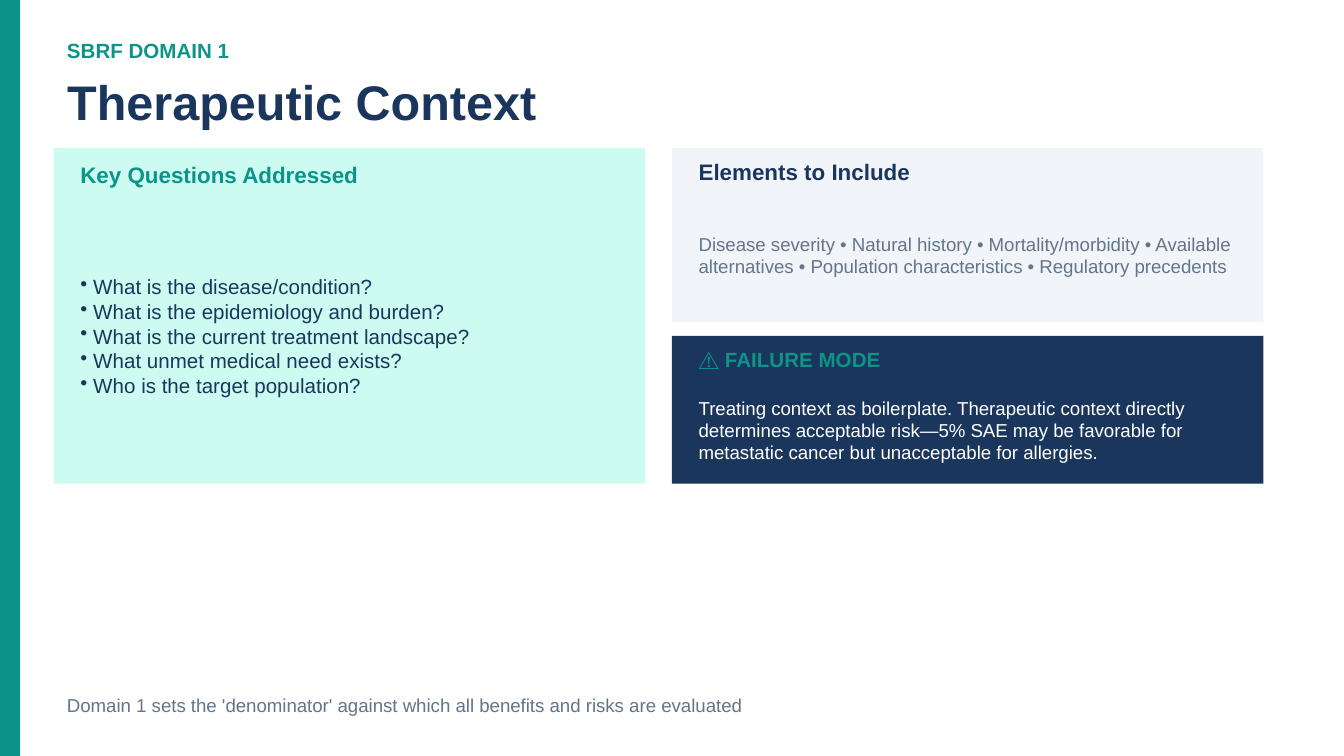
from lxml.etree import SubElement
from pptx import Presentation
from pptx.dml.color import RGBColor
from pptx.enum.shapes import MSO_SHAPE
from pptx.enum.text import MSO_ANCHOR, PP_ALIGN
from pptx.oxml.ns import qn
from pptx.util import Pt

TEAL = RGBColor(0x0D, 0x94, 0x88)
MINT = RGBColor(0xCC, 0xFB, 0xF1)
NAVY = RGBColor(0x1A, 0x36, 0x5D)
MIST = RGBColor(0xF1, 0xF5, 0xF9)
SLATE = RGBColor(0x64, 0x74, 0x8B)
WHITE = RGBColor(0xFF, 0xFF, 0xFF)

EYEBROW = "SBRF DOMAIN 1"
TITLE = "Therapeutic Context"
TAKEAWAY = "Domain 1 sets the 'denominator' against which all benefits and risks are evaluated"

COLUMNS = [
    [
        dict(
            heading="Key Questions Addressed",
            body=[
                "What is the disease/condition?",
                "What is the epidemiology and burden?",
                "What is the current treatment landscape?",
                "What unmet medical need exists?",
                "Who is the target population?",
            ],
            fill=MINT, height=180, heading_height=21.6, foot=7.2,
            heading_format=dict(size=12, color=TEAL),
            body_format=dict(size=11, color=NAVY, bullets=True),
        ),
    ],
    [
        dict(
            heading="Elements to Include",
            body=[
                "Disease severity • Natural history • Mortality/morbidity • Available "
                "alternatives • Population characteristics • Regulatory precedents"
            ],
            fill=MIST, height=93.6, heading_height=18, foot=3.6,
            heading_format=dict(size=12, color=NAVY),
            body_format=dict(size=10, color=SLATE),
        ),
        dict(
            heading="⚠ FAILURE MODE",
            body=[
                "Treating context as boilerplate. Therapeutic context directly "
                "determines acceptable risk—5% SAE may be favorable for "
                "metastatic cancer but unacceptable for allergies."
            ],
            fill=NAVY, height=79.2, heading_height=18, foot=3.6,
            heading_format=dict(size=11, color=TEAL),
            body_format=dict(size=10, color=WHITE),
        ),
    ],
]

SLIDE_WIDTH, SLIDE_HEIGHT = 720, 405
LEFT, TOP, PANEL_WIDTH = 28.8, 79.2, 316.8
COLUMN_GAP, ROW_GAP = 14.4, 7.2
INSET, HEAD_INSET, BODY_GAP = 7.2, 3.6, 3.6
BULLET_INDENT = 6.9


def add_text(slide, lines, box, size, color, bold=False, bullets=False, holder=None):
    """Write lines into a new text box, or into the given placeholder."""
    left, top, width, height = map(Pt, box)
    if holder is None:
        holder = slide.shapes.add_textbox(left, top, width, height)
    holder.left, holder.top, holder.width, holder.height = left, top, width, height
    frame = holder.text_frame
    frame.word_wrap = True
    frame.vertical_anchor = MSO_ANCHOR.MIDDLE
    frame.text = "\n".join(lines)
    for paragraph in frame.paragraphs:
        paragraph.alignment = PP_ALIGN.LEFT
        font = paragraph.runs[0].font
        font.name, font.size, font.bold = "Arial", Pt(size), bold
        font.color.rgb = color
        if bullets:
            properties = paragraph._p.get_or_add_pPr()
            properties.set("marL", str(Pt(BULLET_INDENT)))
            properties.set("indent", str(-Pt(BULLET_INDENT)))
            SubElement(properties, qn("a:buChar"), char="•")


def add_block(slide, box, fill):
    """Draw a plain filled rectangle."""
    block = slide.shapes.add_shape(MSO_SHAPE.RECTANGLE, *map(Pt, box))
    block.shadow.inherit = False
    block.fill.solid()
    block.fill.fore_color.rgb = fill
    block.line.fill.background()


def add_panel(slide, panel, left, top):
    """Draw one panel with its heading and body."""
    add_block(slide, (left, top, PANEL_WIDTH, panel["height"]), panel["fill"])
    text_left, text_width = left + INSET, PANEL_WIDTH - 2 * INSET
    heading_top = top + HEAD_INSET
    body_top = heading_top + panel["heading_height"] + BODY_GAP
    body_height = top + panel["height"] - panel["foot"] - body_top
    add_text(slide, [panel["heading"]],
             (text_left, heading_top, text_width, panel["heading_height"]),
             bold=True, **panel["heading_format"])
    add_text(slide, panel["body"], (text_left, body_top, text_width, body_height),
             **panel["body_format"])


def main():
    """Build and save the slide."""
    deck = Presentation()
    deck.slide_width, deck.slide_height = Pt(SLIDE_WIDTH), Pt(SLIDE_HEIGHT)
    slide = deck.slides.add_slide(deck.slide_layouts[5])

    add_block(slide, (0, 0, 10.8, SLIDE_HEIGHT), TEAL)
    add_text(slide, [EYEBROW], (LEFT, 18, 288, 18), size=11, color=TEAL, bold=True)
    add_text(slide, [TITLE], (LEFT, 36, 648, 36), size=26, color=NAVY, bold=True,
             holder=slide.shapes.title)

    for column, panels in enumerate(COLUMNS):
        left, top = LEFT + column * (PANEL_WIDTH + COLUMN_GAP), TOP
        for panel in panels:
            add_panel(slide, panel, left, top)
            top += panel["height"] + ROW_GAP

    add_text(slide, [TAKEAWAY], (LEFT, 367.2, 648, 21.6), size=10, color=SLATE)
    deck.save("out.pptx")


if __name__ == "__main__":
    main()
